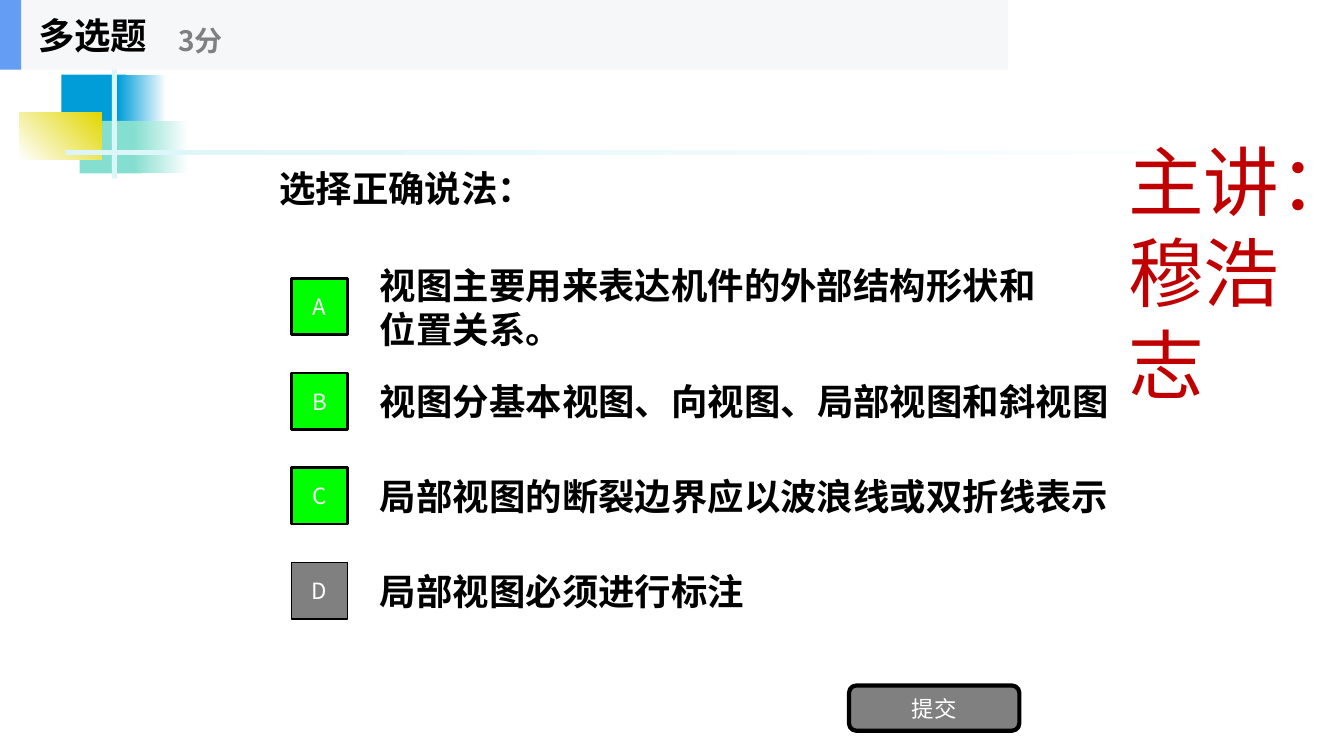
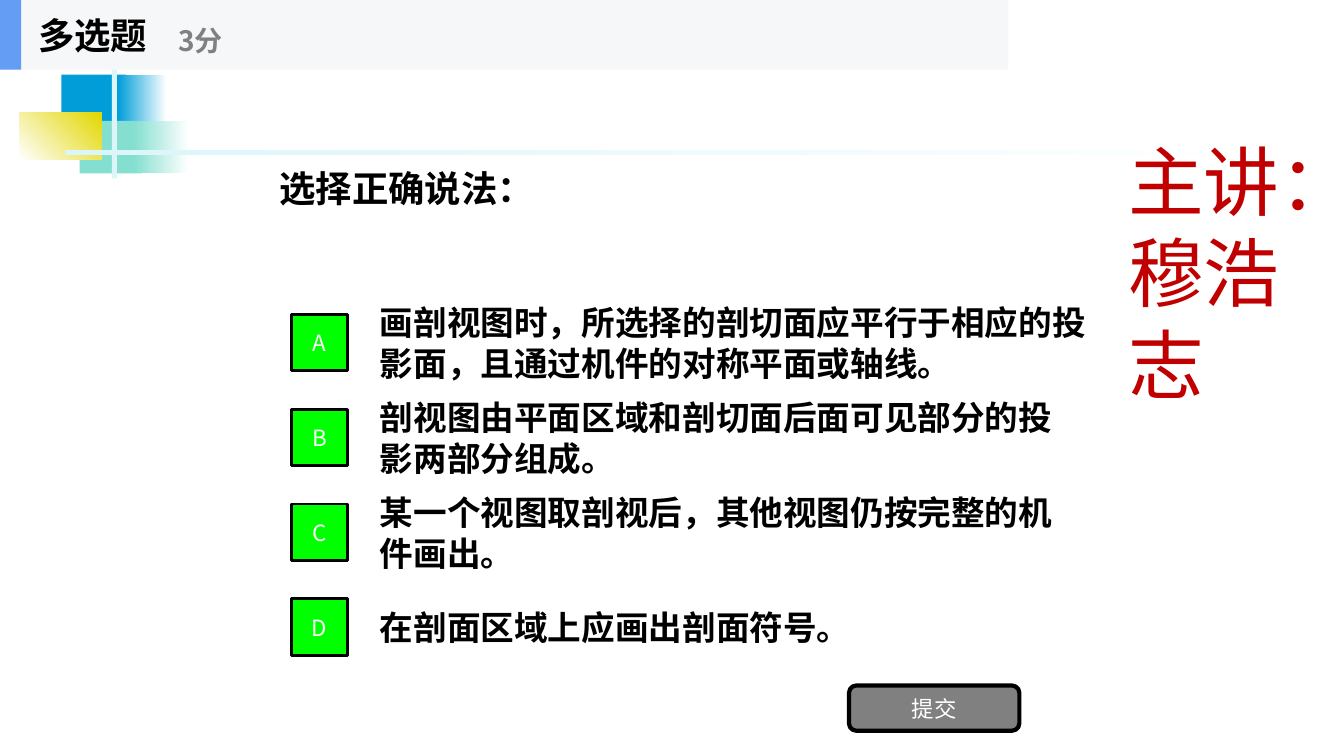
from dataclasses import dataclass
from typing import Any

from lxml.etree import SubElement
from pptx import Presentation
from pptx.dml.color import RGBColor
from pptx.enum.shapes import MSO_SHAPE
from pptx.enum.text import MSO_ANCHOR, MSO_AUTO_SIZE, PP_ALIGN
from pptx.oxml.ns import qn
from pptx.util import Inches, Pt


@dataclass(frozen=True)
class Theme:
    font: str = "Noto Sans CJK SC"
    black: str = "000000"
    white: str = "FFFFFF"
    gray: str = "808080"
    green: str = "00FF00"
    red: str = "C00000"
    blue: str = "009DD9"
    teal: str = "85DFD0"
    gold: str = "E2D700"
    ice: str = "DBF5F9"
    band: str = "F6F7F8"
    mark: str = "639EF4"
    name: int = 54
    head: int = 26
    score: int = 20
    label: int = 16
    lead: float = 1.21


@dataclass(frozen=True)
class Box:
    left: float
    top: float
    wide: float
    high: float

    def place(self) -> tuple:
        return tuple(map(Inches, (self.left, self.top, self.wide, self.high)))


@dataclass(frozen=True)
class Block:
    box: Box
    fill: str
    fade: str = ""
    angle: int = 0


@dataclass(frozen=True)
class Choice:
    text: str
    right: bool = True
    wide: float = 7


@dataclass(frozen=True)
class Quiz:
    top: float
    size: int
    items: tuple[Choice, ...]


THEME = Theme()
STEP = 0.94

DECOR = (
    Block(Box(0.61, 0.74, 0.64, 0.52), THEME.blue),
    Block(Box(1.17, 0.74, 0.48, 0.52), THEME.blue, THEME.white),
    Block(Box(0.79, 1.2, 0.62, 0.52), THEME.teal),
    Block(Box(1.33, 1.2, 0.54, 0.52), THEME.teal, THEME.white),
    Block(Box(0.19, 1.12, 0.82, 0.46), THEME.white, THEME.gold, 45),
    Block(Box(1.11, 0.62, 0.05, 1.15), THEME.ice),
    Block(Box(0.65, 1.49, 12, 0.05), THEME.ice, THEME.white),
)

QUIZZES = (
    Quiz(2.69, 26, (
        Choice("视图主要用来表达机件的外部结构形状和位置关系。"),
        Choice("视图分基本视图、向视图、局部视图和斜视图", wide=7.72),
        Choice("局部视图的断裂边界应以波浪线或双折线表示", wide=7.53),
        Choice("局部视图必须进行标注", right=False),
    )),
    Quiz(3.05, 24, (
        Choice("画剖视图时，所选择的剖切面应平行于相应的投影面，且通过机件的对称平面或轴线。",
               wide=7.37),
        Choice("剖视图由平面区域和剖切面后面可见部分的投影两部分组成。"),
        Choice("某一个视图取剖视后，其他视图仍按完整的机件画出。"),
        Choice("在剖面区域上应画出剖面符号。"),
    )),
)


def write(shape: Any, text: str, *, size: int, color: str = THEME.black,
          bold: bool = False, align: PP_ALIGN = PP_ALIGN.LEFT,
          anchor: MSO_ANCHOR = MSO_ANCHOR.MIDDLE) -> None:
    """Fill a shape with one formatted paragraph."""
    frame = shape.text_frame
    frame.word_wrap = True
    frame.auto_size = MSO_AUTO_SIZE.NONE
    frame.vertical_anchor = anchor
    para = frame.paragraphs[0]
    para.alignment = align
    para.line_spacing = Pt(round(size * THEME.lead, 1))
    run = para.add_run()
    run.text = text
    font = run.font
    font.size, font.bold, font.name = Pt(size), bold, THEME.font
    font.color.rgb = RGBColor.from_string(color)
    SubElement(run._r.get_or_add_rPr(), qn("a:ea"), typeface=THEME.font)


def label(shapes: Any, box: Box, text: str, **style: Any) -> Any:
    shape = shapes.add_textbox(*box.place())
    write(shape, text, **style)
    return shape


def draw(shapes: Any, block: Block, *, kind: MSO_SHAPE = MSO_SHAPE.RECTANGLE,
         line: float = 0) -> Any:
    shape = shapes.add_shape(kind, *block.box.place())
    shape.shadow.inherit = False
    fill = shape.fill
    if block.fade:
        fill.gradient()
        fill.gradient_angle = block.angle
        for stop, color in zip(fill.gradient_stops, (block.fill, block.fade)):
            stop.color.rgb = RGBColor.from_string(color)
    else:
        fill.solid()
        fill.fore_color.rgb = RGBColor.from_string(block.fill)
    if line:
        shape.line.width = Pt(line)
        shape.line.color.rgb = RGBColor.from_string(THEME.black)
    else:
        shape.line.fill.background()
    return shape


def button(shapes: Any, block: Block, text: str, **look: Any) -> None:
    write(draw(shapes, block, **look), text, size=THEME.label,
          color=THEME.white, align=PP_ALIGN.CENTER)


def dress(layout: Any, slide: Any) -> None:
    """Draw the shared decoration and hand it over to the layout."""
    parts = [draw(slide.shapes, block) for block in DECOR]
    parts.append(label(slide.shapes, Box(11.09, 1.28, 2.02, 3.9), "主讲：穆浩志",
                       size=THEME.name, color=THEME.red, anchor=MSO_ANCHOR.TOP))
    for num, part in enumerate(parts, 20):
        part.element.nvSpPr.cNvPr.set("id", str(num))
        layout.shapes.element.append(part.element)


def header(slide: Any) -> None:
    shapes = slide.shapes.add_group_shape().shapes
    draw(shapes, Block(Box(0, 0, 10, 0.69), THEME.band))
    draw(shapes, Block(Box(0, 0, 0.21, 0.69), THEME.mark))
    label(shapes, Box(0.28, 0, 2.08, 0.69), "多选题", size=THEME.head, bold=True)
    label(shapes, Box(1.67, 0.12, 2.5, 0.56), "3分", size=THEME.score,
          color=THEME.gray, bold=True)


def fill_in(slide: Any, quiz: Quiz) -> None:
    # Question
    title = slide.shapes.title
    title.left, title.top, title.width, title.height = Box(2.67, 0.69, 8, 2.34).place()
    write(title, "选择正确说法：", size=THEME.head, bold=True)

    # Choices with their letters
    for row, (mark, item) in enumerate(zip("ABCD", quiz.items)):
        top = quiz.top + row * STEP
        label(slide.shapes, Box(3.67, top, item.wide, 0.7), item.text,
              size=quiz.size, bold=True)
        color = THEME.green if item.right else THEME.gray
        button(slide.shapes, Block(Box(2.89, top + 0.07, 0.56, 0.56), color), mark,
               line=2 if item.right else 1)

    # Submit button and header
    button(slide.shapes, Block(Box(8.42, 6.8, 1.69, 0.45), THEME.gray), "提交",
           kind=MSO_SHAPE.ROUNDED_RECTANGLE, line=3)
    header(slide)


def main() -> None:
    deck = Presentation()
    deck.slide_width, deck.slide_height = Inches(13.33), Inches(7.5)
    layout = deck.slide_layouts[5]
    slides = [deck.slides.add_slide(layout) for _ in QUIZZES]
    dress(layout, slides[0])
    for slide, quiz in zip(slides, QUIZZES):
        fill_in(slide, quiz)
    deck.save("out.pptx")


if __name__ == "__main__":
    main()
